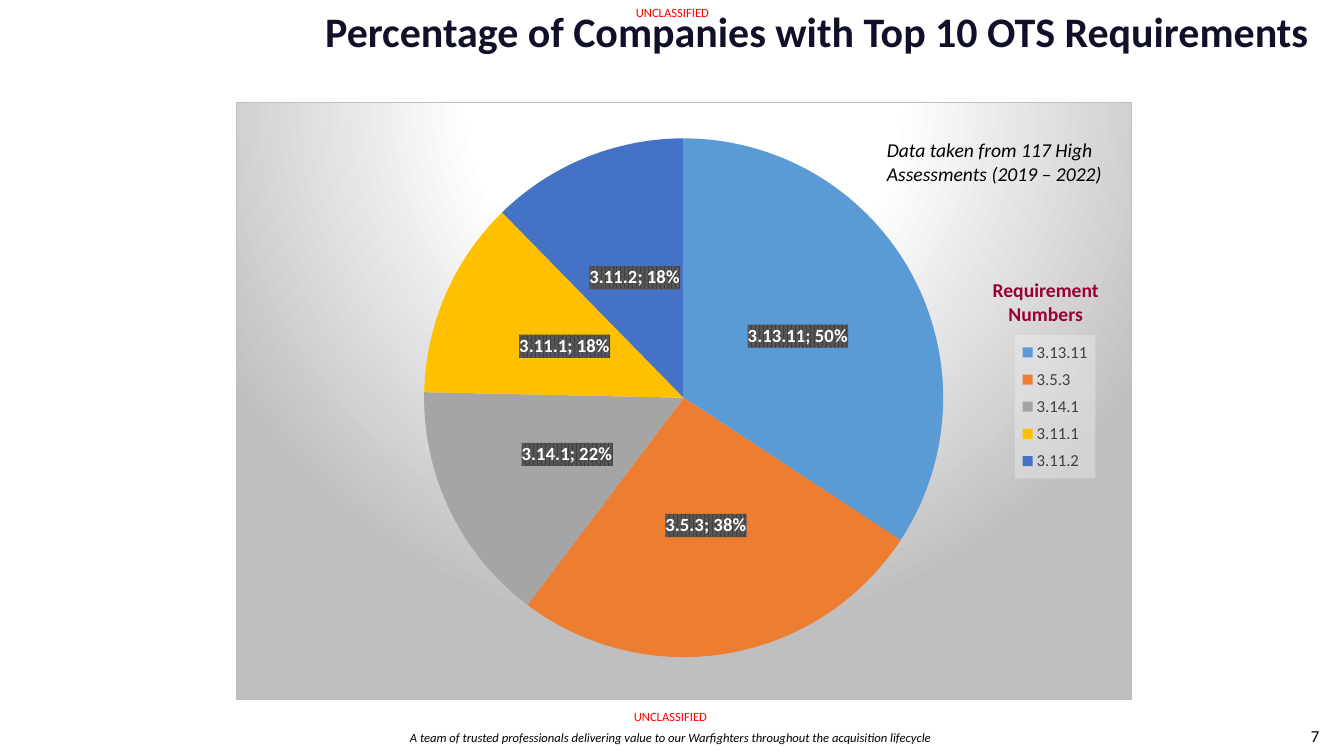
from dataclasses import dataclass

from lxml import etree
from pptx import Presentation
from pptx.chart.chart import Chart
from pptx.chart.data import CategoryChartData
from pptx.dml.color import RGBColor
from pptx.enum.chart import XL_CHART_TYPE, XL_LABEL_POSITION, XL_LEGEND_POSITION
from pptx.enum.text import MSO_ANCHOR, MSO_AUTO_SIZE, PP_ALIGN
from pptx.oxml import parse_xml
from pptx.oxml.ns import nsdecls, qn
from pptx.util import Cm, Pt

PIE = XL_CHART_TYPE.PIE
CENTRE_LABEL = XL_LABEL_POSITION.CENTER
RIGHT_KEY = XL_LEGEND_POSITION.RIGHT
TOP, MIDDLE = MSO_ANCHOR.TOP, MSO_ANCHOR.MIDDLE
NO_FIT = MSO_AUTO_SIZE.NONE
LEFT, CENTRE, RIGHT = PP_ALIGN.LEFT, PP_ALIGN.CENTER, PP_ALIGN.RIGHT

FACE = "Calibri"
HEX = {
    "black": "000000", "white": "FFFFFF", "navy": "101129", "red": "FF0000",
    "wine": "990033", "text": "404040", "edge": "BFBFBF", "pale": "F2F2F2",
    "dark": "404040", "dot": "595959",
}


@dataclass
class Slice:
    name: str
    share: float
    color: str


@dataclass
class Note:
    lines: tuple[str, ...]
    box: tuple[float, float, float, float]
    size: float
    color: str = "black"
    align: PP_ALIGN = LEFT
    anchor: MSO_ANCHOR = TOP
    bold: bool = False
    italic: bool = False
    wrap: bool = True
    inset: bool = True
    space: float = 1.0


SLICES = [
    Slice("3.13.11", 0.5, "5B9BD5"),
    Slice("3.5.3", 0.38, "ED7D31"),
    Slice("3.14.1", 0.22, "A5A5A5"),
    Slice("3.11.1", 0.18, "FFC000"),
    Slice("3.11.2", 0.18, "4472C4"),
]
TITLE = Note(("Percentage of Companies with Top 10 OTS Requirements",),
             (6.91, 0, 26.34, 1.7), 30, "navy", RIGHT, MIDDLE, bold=True, space=0.9)
BANNERS = [
    Note(("UNCLASSIFIED",), box, 9, "red", CENTRE, space=0.9)
    for box in ((12.4, 17.78, 8.99, 0.58), (12.45, 0.03, 8.99, 0.56))
]
FOOTERS = [
    Note(("A team of trusted professionals delivering value to our Warfighters "
          "throughout the acquisition lifecycle",),
         (10.26, 18.24, 13.26, 0.69), 9, "black", CENTRE, MIDDLE, italic=True, inset=False),
    Note(("7",), (25.88, 18.03, 7.62, 1.02), 12, "black", RIGHT, MIDDLE),
]
CAPTIONS = [
    Note(("Requirement Numbers",), (24.64, 6.88, 3.43, 1.45), 14, "wine", CENTRE, bold=True),
    Note(("Data taken from 117 High", "Assessments (2019 – 2022)"),
         (22.1, 3.35, 5.99, 1.45), 14, italic=True, wrap=False),
]
CHART_BOX = (5.94, 2.57, 22.58, 15.06)


def style(font, size: float, color: str, bold: bool = False, italic: bool = False) -> None:
    look = {"name": FACE, "size": Pt(size), "bold": bold, "italic": italic}
    for key, value in look.items():
        setattr(font, key, value)
    font.color.rgb = RGBColor.from_string(HEX[color])


def place(shape, note: Note) -> None:
    """Move a shape to the note's box and fill it with the note's text."""
    for key, value in zip(("left", "top", "width", "height"), note.box):
        setattr(shape, key, Cm(value))
    frame = shape.text_frame
    look = {"word_wrap": note.wrap, "auto_size": NO_FIT, "vertical_anchor": note.anchor}
    if not note.inset:
        sides = ("left", "top", "right", "bottom")
        look |= {f"margin_{side}": 0 for side in sides}
    for key, value in look.items():
        setattr(frame, key, value)
    para = frame.paragraphs[0]
    para.alignment = note.align
    para.line_spacing = note.space
    for row, line in enumerate(note.lines):
        if row:
            para.add_line_break()
        run = para.add_run()
        run.text = line
        style(run.font, note.size, note.color, note.bold, note.italic)


def write(slide, notes: list[Note]) -> None:
    for note in notes:
        place(slide.shapes.add_textbox(0, 0, 0, 0), note)


def color(name: str, alpha: int = 100) -> str:
    return f'<a:srgbClr val="{HEX[name]}"><a:alpha val="{alpha * 1000}"/></a:srgbClr>'


def paint(parent: etree._Element, fill: str) -> None:
    """Put shape properties just before the text properties of a chart part."""
    props = parse_xml(f'<c:spPr {nsdecls("c", "a")}>{fill}</c:spPr>')
    parent.find(qn("c:txPr")).addprevious(props)


def arrange(parent: etree._Element, index: int, box: tuple[float, ...], inner: bool) -> None:
    """Give a chart part a manual layout, in fractions of the chart."""
    for old in parent.findall(qn("c:layout")):
        parent.remove(old)
    target = '<c:layoutTarget val="inner"/>' if inner else ""
    modes = '<c:xMode val="edge"/><c:yMode val="edge"/>'
    sizes = "".join(f'<c:{key} val="{value}"/>' for key, value in zip("xywh", box))
    parent.insert(index, parse_xml(
        f'<c:layout {nsdecls("c")}><c:manualLayout>{target}{modes}{sizes}'
        f'</c:manualLayout></c:layout>'))


def label(chart: Chart) -> None:
    labels = chart.plots[0].series[0].data_labels
    look = {"show_value": True, "show_category_name": True, "number_format": "0%",
            "number_format_is_linked": False, "position": CENTRE_LABEL}
    for key, value in look.items():
        setattr(labels, key, value)
    style(labels.font, 13.3, "white", bold=True)
    root = labels._element
    paint(root, f'<a:pattFill prst="pct75"><a:fgClr>{color("dark")}</a:fgClr>'
                f'<a:bgClr>{color("dot")}</a:bgClr></a:pattFill>')
    root.find(qn("c:showBubbleSize")).addnext(
        parse_xml(f'<c:separator {nsdecls("c")}>; </c:separator>'))


def add_key(chart: Chart) -> None:
    chart.has_legend = True
    key = chart.legend
    key.position = RIGHT_KEY
    key.include_in_layout = False
    style(key.font, 12, "text")
    arrange(key._element, 1, (0.87, 0.39, 0.09, 0.24), inner=False)
    paint(key._element, f'<a:solidFill>{color("pale", 39)}</a:solidFill>')


def add_pie(slide) -> None:
    data = CategoryChartData(number_format="0%")
    data.categories = [part.name for part in SLICES]
    data.add_series("Series 1", [part.share for part in SLICES])
    chart = slide.shapes.add_chart(PIE, *map(Cm, CHART_BOX), data).chart
    chart.has_title = False
    style(chart.font, 10, "black")
    chart.plots[0].vary_by_categories = True
    points = chart.plots[0].series[0].points
    for index, part in enumerate(SLICES):
        look = points[index].format
        look.fill.solid()
        look.fill.fore_color.rgb = RGBColor.from_string(part.color)
        look.line.fill.background()
    label(chart)
    add_key(chart)
    root = chart._chartSpace
    arrange(root.find(".//" + qn("c:plotArea")), 0, (0.21, 0.06, 0.58, 0.87), inner=True)
    stops = "".join(f'<a:gs pos="{spot * 1000}">{color(name)}</a:gs>'
                    for spot, name in ((0, "white"), (39, "white"), (100, "edge")))
    paint(root, f'<a:gradFill><a:gsLst>{stops}</a:gsLst><a:path path="circle">'
                '<a:fillToRect l="50000" t="-80000" r="50000" b="180000"/></a:path></a:gradFill>'
                f'<a:ln w="9525"><a:solidFill>{color("edge")}</a:solidFill></a:ln>')


def main() -> None:
    deck = Presentation()
    deck.slide_width, deck.slide_height = Cm(33.87), Cm(19.05)
    slide = deck.slides.add_slide(deck.slide_layouts.get_by_name("Title Only"))
    place(slide.shapes.title, TITLE)
    write(slide, FOOTERS + BANNERS)
    add_pie(slide)
    write(slide, CAPTIONS)
    deck.save("out.pptx")


if __name__ == "__main__":
    main()
